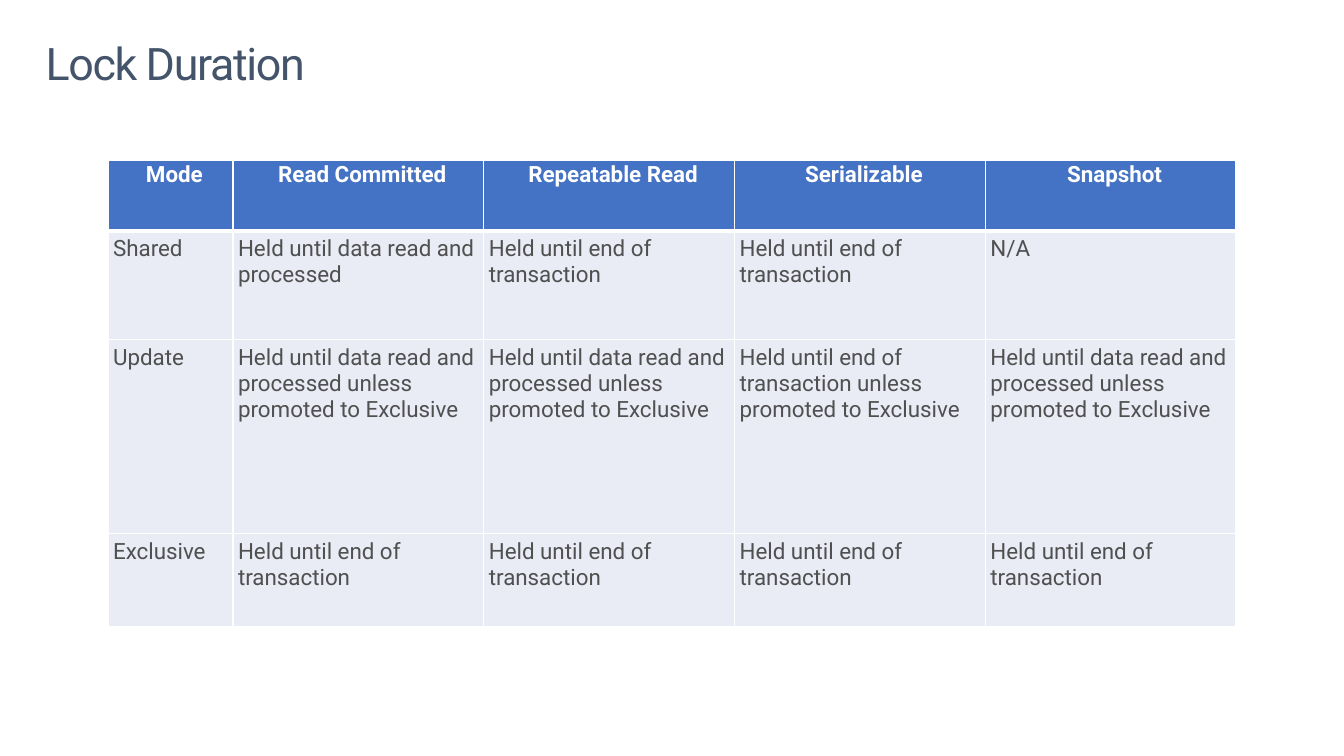
from dataclasses import dataclass

from lxml import etree
from pptx import Presentation
from pptx import util as u
from pptx.dml.color import RGBColor
from pptx.enum import text
from pptx.oxml.ns import qn

FONT = "Roboto"
WHITE = "FFFFFF"


@dataclass(frozen=True)
class CellStyle:
    fill: str
    color: str
    bold: bool
    align: text.PP_ALIGN
    margins: tuple[float, float, float, float]  # left, top, right, bottom in cm


@dataclass(frozen=True)
class LockRow:
    height: float  # cm
    texts: tuple[str, ...]


HEADER = CellStyle("4472C4", WHITE, True, text.PP_ALIGN.CENTER, (0.23, 0.03, 0.03, 0))
BODY = CellStyle("E9EBF5", "505050", False, text.PP_ALIGN.LEFT, (0.13,) * 4)

UNTIL_READ = "Held until data read and processed"
UNTIL_END = "Held until end of transaction"
PROMOTED = " unless promoted to Exclusive"

ROWS = (
    LockRow(1.78, ("Mode", "Read Committed", "Repeatable Read", "Serializable", "Snapshot")),
    LockRow(2.74, ("Shared", UNTIL_READ, UNTIL_END, UNTIL_END, "N/A")),
    LockRow(4.88, ("Update", UNTIL_READ + PROMOTED, UNTIL_READ + PROMOTED,
                   UNTIL_END + PROMOTED, UNTIL_READ + PROMOTED)),
    LockRow(2.36, ("Exclusive",) + (UNTIL_END,) * 4),
)
COLUMN_WIDTHS = (3.15,) + (6.32,) * 4


def rgb(value: str) -> RGBColor:
    return RGBColor.from_string(value)


def set_font(para, size: float, color: str, bold: bool = False) -> None:
    font = para.font
    font.name, font.size, font.bold = FONT, u.Pt(size), bold
    font.color.rgb = rgb(color)


def set_margins(target, margins: tuple[float, float, float, float]) -> None:
    sides = ("left", "top", "right", "bottom")
    for side, margin in zip(sides, margins):
        setattr(target, f"margin_{side}", u.Cm(margin))


def set_borders(cell, top: float, bottom: float) -> None:
    """Put white lines around a cell; widths are in points."""
    properties = cell._tc.get_or_add_tcPr()
    widths = {"lnL": 1, "lnR": 1, "lnT": top, "lnB": bottom}
    for index, (tag, width) in enumerate(widths.items()):
        line = etree.Element(qn(f"a:{tag}"), w=str(u.Pt(width)))
        fill = etree.SubElement(line, qn("a:solidFill"))
        etree.SubElement(fill, qn("a:srgbClr"), val=WHITE)
        properties.insert(index, line)


def style_cell(cell, words: str, style: CellStyle) -> None:
    cell.fill.solid()
    cell.fill.fore_color.rgb = rgb(style.fill)
    set_margins(cell, style.margins)
    para = cell.text_frame.paragraphs[0]
    para.text = words
    para.alignment = style.align
    set_font(para, 16, style.color, style.bold)


def add_title(page, words: str) -> None:
    box = page.shapes.add_textbox(u.Cm(0.74), u.Cm(0.81), u.Cm(32.39), u.Cm(2.49))
    frame = box.text_frame
    frame.word_wrap = True
    set_margins(frame, (0.41, 0.25, 0.41, 0.25))
    para = frame.paragraphs[0]
    para.line_spacing = 0.9
    span = para.add_run()
    span.text = words
    set_font(para, 32, "44546A")
    span.font._element.set("spc", "-100")  # letter spacing of -1 pt


def add_lock_table(page) -> None:
    table = page.shapes.add_table(
        len(ROWS), len(COLUMN_WIDTHS), u.Cm(2.72), u.Cm(4.04),
        u.Cm(sum(COLUMN_WIDTHS)), u.Cm(sum(row.height for row in ROWS)),
    ).table
    table.horz_banding = False
    for column, width in zip(table.columns, COLUMN_WIDTHS):
        column.width = u.Cm(width)
    for r, row in enumerate(ROWS):
        table.rows[r].height = u.Cm(row.height)
        for c, words in enumerate(row.texts):
            cell = table.cell(r, c)
            style_cell(cell, words, HEADER if r == 0 else BODY)
            # The line between header and body is thicker
            set_borders(cell, top=3 if r == 1 else 1, bottom=3 if r == 0 else 1)


def main() -> None:
    deck = Presentation()
    deck.slide_width, deck.slide_height = u.Cm(33.87), u.Cm(19.05)
    page = deck.slides.add_slide(deck.slide_layouts[6])
    add_title(page, "Lock Duration")
    add_lock_table(page)
    deck.save("out.pptx")


if __name__ == "__main__":
    main()
